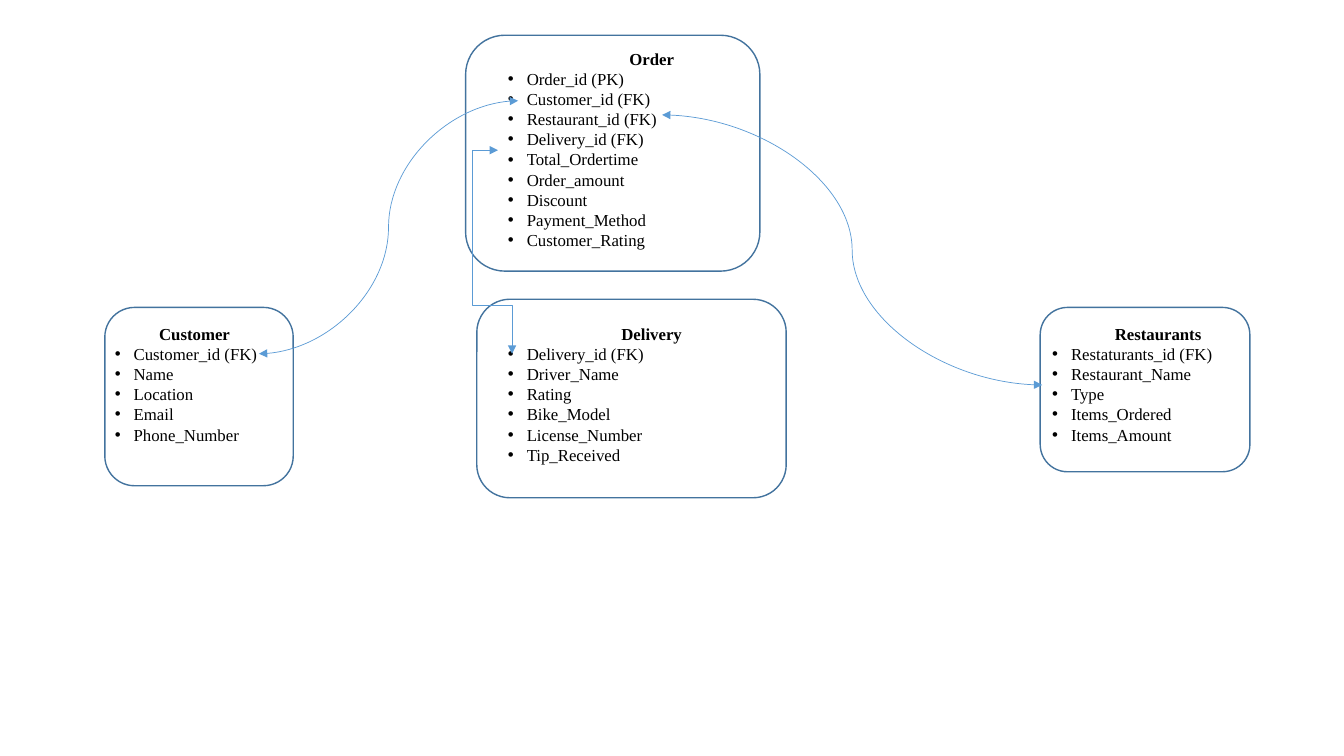
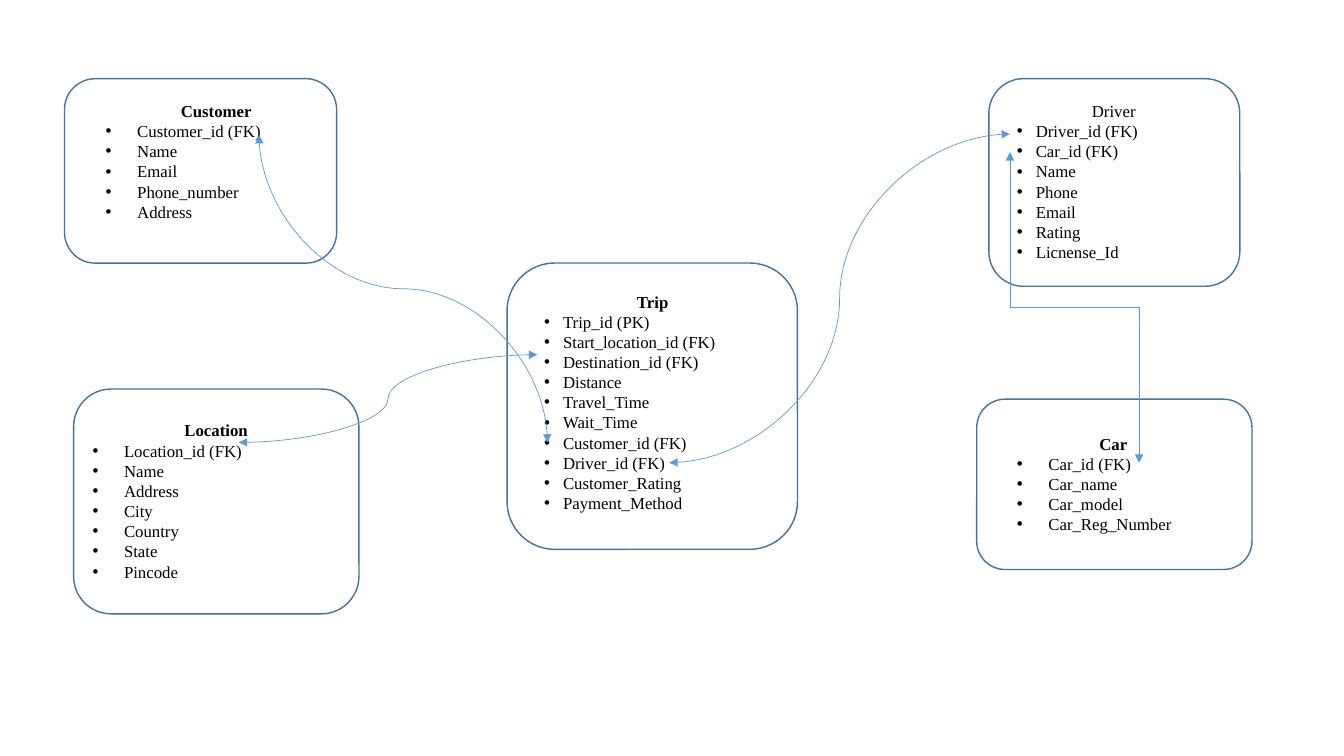
import pptx
import pptx.util
import pptx.dml.color
import pptx.enum.shapes
import pptx.enum.text
import lxml.etree

Pt = pptx.util.Pt
FONT = "Times New Roman"
HUES = {"text": "000000", "edge": "43739E", "link": "5B9BD5"}
INK = {name: pptx.dml.color.RGBColor.from_string(h) for name, h in HUES.items()}
KIND = pptx.enum.shapes.MSO_CONNECTOR
NS = "{http://schemas.openxmlformats.org/drawingml/2006/main}"

# Entities: title, bold title, frame, text (left, top, width), indent, fields
# Links: kind, start, end, runs vertically, bends beyond its box
PAGES = [
    {
        "boxes": [
            ("Order", True, (332.6, 25.2, 210.2, 168.5), (355.7, 31, 219.6), 13.5,
             ["Order_id (PK)", "Customer_id (FK)", "Restaurant_id (FK)",
              "Delivery_id (FK)", "Total_Ordertime", "Order_amount", "Discount",
              "Payment_Method", "Customer_Rating"]),
            ("Customer", True, (74.9, 219.6, 134.6, 127.4), (74.9, 227.5, 128.2), 13.5,
             ["Customer_id (FK)", "Name", "Location", "Email", "Phone_Number"]),
            ("Restaurants", True, (743, 219.6, 149.8, 117.4), (744.5, 227.5, 165.6), 13.5,
             ["Restaturants_id (FK)", "Restaurant_Name", "Type", "Items_Ordered",
              "Items_Amount"]),
            ("Delivery", True, (340.6, 213.8, 221, 141.8), (355.7, 227.5, 219.6), 13.5,
             ["Delivery_id (FK)", "Driver_Name", "Rating", "Bike_Model",
              "License_Number", "Tip_Received"]),
        ],
        "links": [
            (KIND.CURVE, (185, 252.7), (370.1, 72), False, None),
            (KIND.CURVE, (744.5, 275), (473, 82.1), False, None),
            (KIND.ELBOW, (355.7, 107.3), (365.8, 252.7), False, (-179300, 76300)),
        ],
    },
    {
        "boxes": [
            ("Trip", True, (362.2, 187.9, 207.4, 204.5), (381.6, 204.5, 169.2), 13.5,
             ["Trip_id (PK)", "Start_location_id (FK)", "Destination_id (FK)",
              "Distance", "Travel_Time", "Wait_Time", "Customer_id (FK)",
              "Driver_id (FK)", "Customer_Rating", "Payment_Method"]),
            ("Location", True, (52.6, 277.9, 203.8, 160.6), (59, 296.6, 190.8), 22.5,
             ["Location_id (FK)", "Name", "Address", "City", "Country", "State",
              "Pincode"]),
            ("Car", True, (697.7, 285.1, 196.6, 121.7), (719.3, 306, 151.9), 22.5,
             ["Car_id (FK)", "Car_name", "Car_model", "Car_Reg_Number"]),
            ("Customer", True, (46.1, 56.2, 194.4, 131.8), (68.4, 68.4, 172.1), 22.5,
             ["Customer_id (FK)", "Name", "Email", "Phone_number", "Address"]),
            ("Driver", False, (706.3, 56.2, 179.3, 148.3), (719.3, 68.4, 152.6), 13.5,
             ["Driver_id (FK)", "Car_id (FK)", "Name", "Phone", "Email", "Rating",
              "Licnense_Id"]),
        ],
        "links": [
            (KIND.CURVE, (185, 96.5), (391, 316.1), True, None),
            (KIND.CURVE, (478.1, 330.5), (721.4, 95.8), False, None),
            (KIND.CURVE, (170.6, 316.1), (383.8, 253.4), False, None),
            (KIND.ELBOW, (721.4, 108.7), (813.6, 330.5), True, None),
        ],
    },
]


def add_box(slide, title, bold, frame, place, indent, fields):
    """Draw a rounded frame with a centred title and bulleted fields."""
    shape = slide.shapes.add_shape(
        pptx.enum.shapes.MSO_SHAPE.ROUNDED_RECTANGLE, *map(Pt, frame))
    shape.shadow.inherit = False
    shape.fill.background()
    shape.line.color.rgb = INK["edge"]
    shape.line.width = Pt(1)

    lines = [title] + fields
    high = 7.2 + 14.5 * len(lines)
    body = slide.shapes.add_textbox(*map(Pt, place), Pt(high)).text_frame
    body.word_wrap = True
    body.auto_size = pptx.enum.text.MSO_AUTO_SIZE.SHAPE_TO_FIT_TEXT
    body.text = "\n".join(lines)
    for i, para in enumerate(body.paragraphs):
        if i == 0:
            para.alignment = pptx.enum.text.PP_ALIGN.CENTER
        else:
            props = para._p.get_or_add_pPr()
            props.set("marL", str(Pt(indent)))
            props.set("indent", str(-Pt(indent)))
            lxml.etree.SubElement(props, NS + "buFont", typeface="Arial")
            lxml.etree.SubElement(props, NS + "buChar", char="•")
        para.font.name = FONT
        para.font.size = Pt(12)
        para.font.bold = bold and i == 0
        para.font.color.rgb = INK["text"]


def add_link(slide, kind, start, end, upright, bends):
    """Draw a two-headed connector; an upright one is a turned level one."""
    (x1, y1), (x2, y2) = start, end
    if upright:
        mid_x, mid_y = (x1 + x2) / 2, (y1 + y2) / 2
        half_w, half_h = (y2 - y1) / 2, (x2 - x1) / 2
        x1, x2 = mid_x + half_w, mid_x - half_w
        y1, y2 = mid_y - half_h, mid_y + half_h
    link = slide.shapes.add_connector(kind, *map(Pt, (x1, y1, x2, y2)))
    link.line.color.rgb = INK["link"]
    link.line.width = Pt(0.5)
    props = link._element.spPr
    if upright:
        props.find(NS + "xfrm").set("rot", str(270 * 60000))
    if bends:
        geom = props.find(NS + "prstGeom")
        geom.set("prst", "bentConnector4")
        for i, bend in enumerate(bends, 1):
            lxml.etree.SubElement(geom.find(NS + "avLst"), NS + "gd",
                                  name=f"adj{i}", fmla=f"val {bend}")
    for tip in ("headEnd", "tailEnd"):
        lxml.etree.SubElement(props.find(NS + "ln"), NS + tip, type="triangle")
    lxml.etree.SubElement(props, NS + "effectLst")


# Build the slides
deck = pptx.Presentation()
deck.slide_width, deck.slide_height = Pt(960), Pt(540)
for page in PAGES:
    slide = deck.slides.add_slide(deck.slide_layouts[6])
    for box in page["boxes"]:
        add_box(slide, *box)
    for link in page["links"]:
        add_link(slide, *link)
deck.save("out.pptx")
